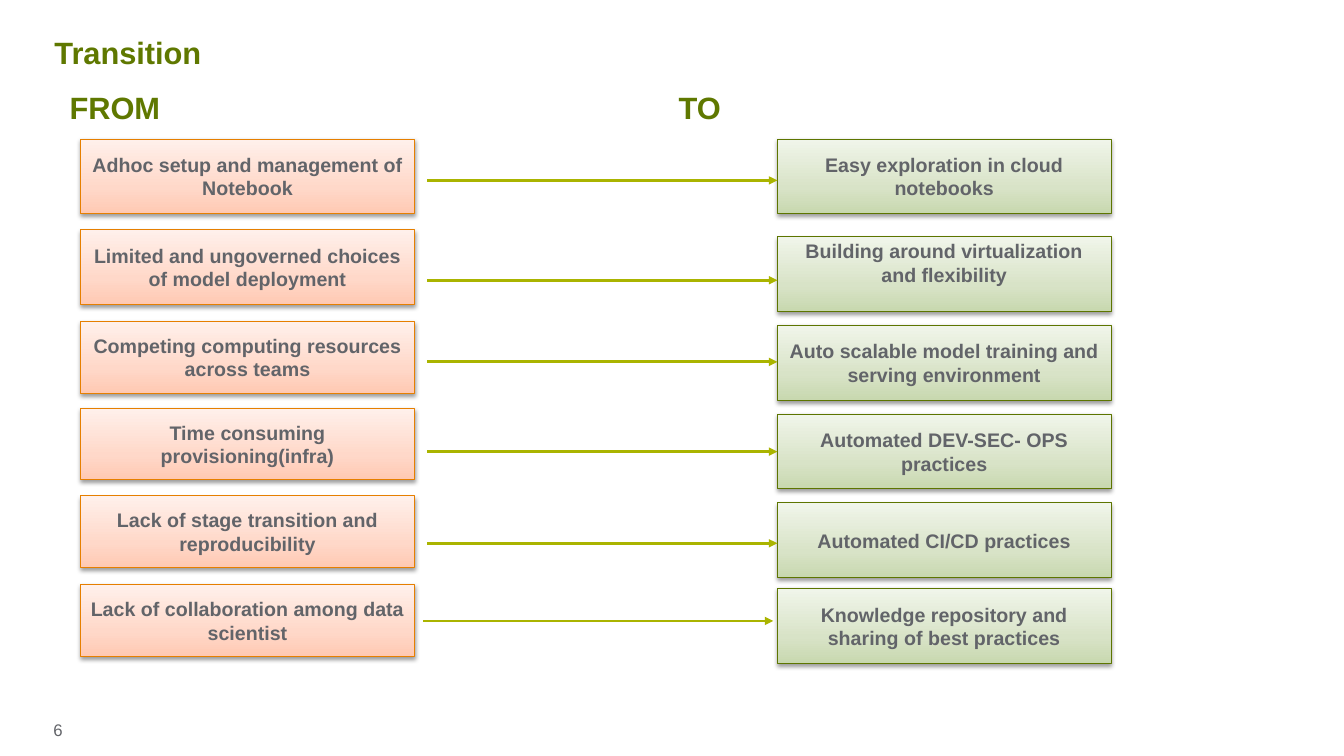
from copy import deepcopy
from pptx import Presentation
from pptx.dml.color import RGBColor
from pptx.enum.shapes import MSO_CONNECTOR, MSO_SHAPE
from pptx.enum.text import MSO_ANCHOR, PP_ALIGN
from pptx.oxml import parse_xml
from pptx.oxml.ns import nsdecls, qn
from pptx.util import Inches, Pt

TITLE = "Transition"
HEADS = [("FROM", 0.69), ("TO", 6.73)]
PAGE = "6"
FROM = [
    ("Adhoc setup and management of Notebook", 1.38, 0.74),
    ("Limited and ungoverned choices of model deployment", 2.28, 0.74),
    ("Competing computing resources across teams", 3.19, 0.71),
    ("Time consuming provisioning(infra)", 4.05, 0.71),
    ("Lack of stage transition and reproducibility", 4.92, 0.71),
    ("Lack of collaboration among data scientist", 5.8, 0.71),
]
TO = [
    ("Easy exploration in cloud notebooks", 1.38, 0.74),
    ("Building around virtualization and flexibility", 2.35, 0.74),
    ("Auto scalable model training and serving environment", 3.23, 0.74),
    ("Automated DEV-SEC- OPS practices", 4.11, 0.74),
    ("Automated CI/CD practices", 4.99, 0.74),
    ("Knowledge repository and sharing of best practices", 5.84, 0.74),
]
ARROWS = [(4.24, 1.79), (4.24, 2.78), (4.24, 3.59),
          (4.24, 4.48), (4.24, 5.39), (4.2, 6.16)]
SPAN = 3.47
WIDE = 3.31
HIGH = "Building around virtualization and flexibility"

THEME = {
    "font": "Arial",
    "head": {"size": 22, "bold": True, "color": "5F7800"},
    "body": {"size": 14, "bold": True, "color": "626469"},
    "page": {"size": 12, "bold": False, "color": "626469"},
    "from": {"line": "E67F00", "stops": ["FFC9B3", "FFD8C9", "FFF0EB"]},
    "to": {"line": "5D7500", "stops": ["C8D8AF", "D8E3C7", "F0F5EA"]},
    "arrow": "AAB400",
}
COLUMNS = [(0.8, FROM, THEME["from"]), (7.71, TO, THEME["to"])]
SHADOW = (
    f'<a:effectLst {nsdecls("a")}><a:outerShdw blurRad="40000" dist="20000" '
    'dir="5400000" rotWithShape="0"><a:srgbClr val="000000">'
    '<a:alpha val="38000"/></a:srgbClr></a:outerShdw></a:effectLst>'
)


def rgb(code):
    return RGBColor.from_string(code)


def apply(item, values):
    for name, value in values.items():
        setattr(item, name, value)


def write(shape, text, style, para={}, **frame):
    body = shape.text_frame
    apply(body, {"word_wrap": True, **frame})
    line = body.paragraphs[0]
    apply(line, para)
    run = line.add_run()
    run.text = text
    apply(run.font, {"name": THEME["font"], "size": Pt(style["size"]),
                     "bold": style["bold"]})
    run.font.color.rgb = rgb(style["color"])


def place(shape, left, top, width, height):
    apply(shape, {"left": Inches(left), "top": Inches(top),
                  "width": Inches(width), "height": Inches(height)})


def label(slide, text, style, area, **frame):
    box = slide.shapes.add_textbox(*map(Inches, area))
    write(box, text, style, {"space_after": Pt(6)}, **frame)


def card(slide, text, area, look):
    box = slide.shapes.add_shape(MSO_SHAPE.RECTANGLE, *map(Inches, area))
    box.fill.gradient()
    box.fill.gradient_angle = 90
    stops = box._element.spPr.find(".//" + qn("a:gsLst"))
    stops.append(deepcopy(stops[-1]))
    for stop, spot, code in zip(box.fill.gradient_stops, (0, 0.35, 1),
                                look["stops"]):
        stop.position = spot
        stop.color.rgb = rgb(code)
    box.line.color.rgb = rgb(look["line"])
    box.line.width = Pt(0.75)
    box._element.spPr.append(parse_xml(SHADOW))
    frame = {"vertical_anchor": MSO_ANCHOR.MIDDLE}
    if text == HIGH:
        frame = {"vertical_anchor": MSO_ANCHOR.TOP, "margin_top": Inches(0.02)}
    write(box, text, THEME["body"],
          {"alignment": PP_ALIGN.CENTER, "space_after": Pt(6)}, **frame)


def arrow(slide, left, top):
    line = slide.shapes.add_connector(
        MSO_CONNECTOR.STRAIGHT,
        *map(Inches, (left, top, left + SPAN, top)))
    line.line.color.rgb = rgb(THEME["arrow"])
    line.line.width = Pt(2)
    line.line._get_or_add_ln().append(
        parse_xml(f'<a:tailEnd {nsdecls("a")} type="triangle"/>'))
    line._element.spPr.append(parse_xml(f'<a:effectLst {nsdecls("a")}/>'))


def main():
    deck = Presentation()
    apply(deck, {"slide_width": Inches(13.33), "slide_height": Inches(7.5)})
    slide = deck.slides.add_slide(deck.slide_layouts[5])
    flush = dict.fromkeys(
        ("margin_left", "margin_top", "margin_right", "margin_bottom"), 0)
    title = slide.shapes.title
    place(title, 0.54, 0.1, 12.33, 0.89)
    write(title, TITLE, THEME["head"],
          {"alignment": PP_ALIGN.LEFT, "line_spacing": 0.9},
          vertical_anchor=MSO_ANCHOR.MIDDLE, **flush)
    for text, left in HEADS:
        label(slide, text, THEME["head"], (left, 0.88, 5.91, 0.4), **flush)
    for left, rows, look in COLUMNS:
        for text, top, height in rows:
            card(slide, text, (left, top, WIDE, height), look)
    for left, top in ARROWS:
        arrow(slide, left, top)
    label(slide, PAGE, THEME["page"], (0.43, 7.09, 0.81, 0.41))
    deck.save("out.pptx")


if __name__ == "__main__":
    main()
